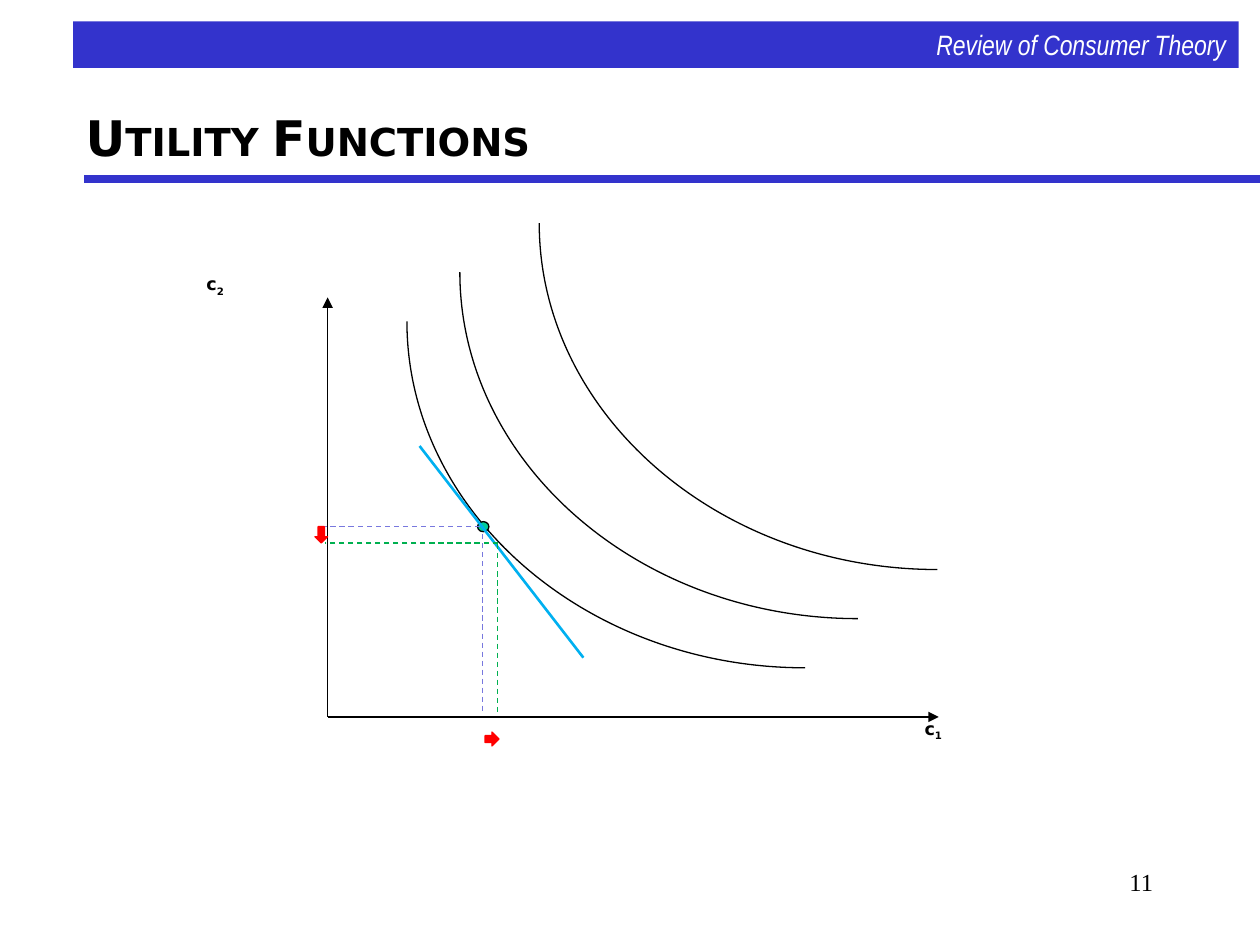
from pptx import Presentation
from pptx.dml.color import RGBColor
from pptx.enum.dml import MSO_LINE
from pptx.enum.shapes import MSO_CONNECTOR, MSO_SHAPE
from pptx.enum.text import MSO_ANCHOR, MSO_AUTO_SIZE, PP_ALIGN
from pptx.oxml.ns import qn
from pptx.util import Pt
from lxml.etree import SubElement

PX = 9144  # 100 px to the inch
BLACK, WHITE, BLUE, RED = "000000", "FFFFFF", "3333CC", "FF0000"
PALE, GREEN, CYAN, TEAL = "7878DE", "00B050", "00B0F0", "00CC99"
SANS = "DejaVu Sans"

HEADER = "Review of Consumer Theory"
TITLE = [("U", 28), ("TILITY ", 22), ("F", 28), ("UNCTIONS", 22)]
NUMBER = "11"
ORIGIN = (260, 569)
AXES = [(260, 236), (745, 569)]  # arrow tips
LABELS = [("c", "1", 724, 565), ("c", "2", 154, 212)]
CURVES = [(365, 216), (428, 177), (323, 255)]  # top left corners
CURVE_W, CURVE_H, BEND = 316, 275, 0.55
GUIDES = [  # start, end, colour, width, dashed
    ((383, 424), (383, 567), PALE, 0.75, True),
    ((381, 418), (258, 418), PALE, 0.75, True),
    ((333, 354), (463, 522), CYAN, 1.5, False),
    ((395, 432), (395, 565), GREEN, 0.75, True),
    ((395, 431), (258, 431), GREEN, 0.75, True),
]
SHIFTS = [((250, 418, 10, 13), 0), ((385, 581, 11, 11), 270)]


def emu(vals):
    return [round(v * PX) for v in vals]


def rgb(color):
    return RGBColor.from_string(color)


def style(run, size, font, color, bold=False, italic=False):
    f = run.font
    f.size, f.name, f.bold, f.italic = Pt(size), font, bold, italic
    f.color.rgb = rgb(color)


def line(a, b, color, width, dash=False, arrow=False):
    c = slide.shapes.add_connector(MSO_CONNECTOR.STRAIGHT, *emu(a + b))
    c.line.color.rgb = rgb(color)
    c.line.width = Pt(width)
    if dash:
        c.line.dash_style = MSO_LINE.DASH
    if arrow:
        SubElement(c.line._get_or_add_ln(), qn("a:tailEnd"), type="triangle")
    SubElement(c._element.spPr, qn("a:effectLst"))


def shape(kind, box, fill, edge=None):
    s = slide.shapes.add_shape(kind, *emu(box))
    s.shadow.inherit = False
    s.fill.solid()
    s.fill.fore_color.rgb = rgb(fill)
    if edge:
        s.line.color.rgb = rgb(edge)
        s.line.width = Pt(0.75)
    else:
        s.line.fill.background()
    return s


def text(box):
    frame = slide.shapes.add_textbox(*emu(box)).text_frame
    frame.word_wrap = True
    return frame.paragraphs[0]


def curve(left, top):
    """Draw the lower left quarter of an ellipse as one Bezier segment."""
    right, low = left + CURVE_W, top + CURVE_H
    pts = [emu(p) for p in ((right - BEND * CURVE_W, low),
                            (left, low - (1 - BEND) * CURVE_H),
                            (left, top))]
    pts[1] = emu((left, top + (1 - (1 - BEND)) * CURVE_H))
    path = slide.shapes.build_freeform(*emu((right, low)), scale=1.0)
    path.add_line_segments(pts, close=False)
    s = path.convert_to_shape()
    route = s._element.spPr.find(".//" + qn("a:path"))
    bezier = SubElement(route, qn("a:cubicBezTo"))
    for step in route.findall(qn("a:lnTo")):
        bezier.append(step[0])
        route.remove(step)
    s.shadow.inherit = False
    s.fill.background()
    s.line.color.rgb = rgb(BLACK)
    s.line.width = Pt(0.75)


prs = Presentation()
prs.slide_width, prs.slide_height = emu((1000, 750))
slide = prs.slides.add_slide(prs.slide_layouts[5])

# Heading and page number
title = slide.shapes.title
title.left, title.top, title.width, title.height = emu((58, 67, 867, 83))
frame = title.text_frame
frame.auto_size = MSO_AUTO_SIZE.NONE
frame.vertical_anchor = MSO_ANCHOR.MIDDLE
frame.paragraphs[0].alignment = PP_ALIGN.LEFT
for part, size in TITLE:
    run = frame.paragraphs[0].add_run()
    run.text = part
    style(run, size, SANS, BLACK, bold=True)
line((67, 142), (1000, 142), BLUE, 4.5)

bar = shape(MSO_SHAPE.RECTANGLE, (58, 17, 925, 37), BLUE)
bar.text_frame.vertical_anchor = MSO_ANCHOR.TOP
head = bar.text_frame.paragraphs[0]
page = text((717, 683, 208, 50))
for para, words in ((head, HEADER), (page, NUMBER)):
    para.text = words
    para.alignment = PP_ALIGN.RIGHT
style(head.runs[0], 16, "Arial Narrow", WHITE, italic=True)
style(page.runs[0], 14, "Times New Roman", BLACK)

# Axes and indifference curves
for tip in AXES:
    line(ORIGIN, tip, BLACK, 1, arrow=True)
for name, sub, x, y in LABELS:
    para = text((x, y, 105, 63))
    for part in (name, sub):
        run = para.add_run()
        run.text = part
        style(run, 10, SANS, BLACK, bold=True)
    run.font._element.set("baseline", "-25000")
for corner in CURVES:
    curve(*corner)

# Tangent point, guides and shifts
shape(MSO_SHAPE.OVAL, (379, 414, 9, 8), TEAL, BLACK)
for guide in GUIDES:
    line(*guide)
for box, turn in SHIFTS:
    shape(MSO_SHAPE.DOWN_ARROW, box, RED, RED).rotation = turn

prs.save("out.pptx")
